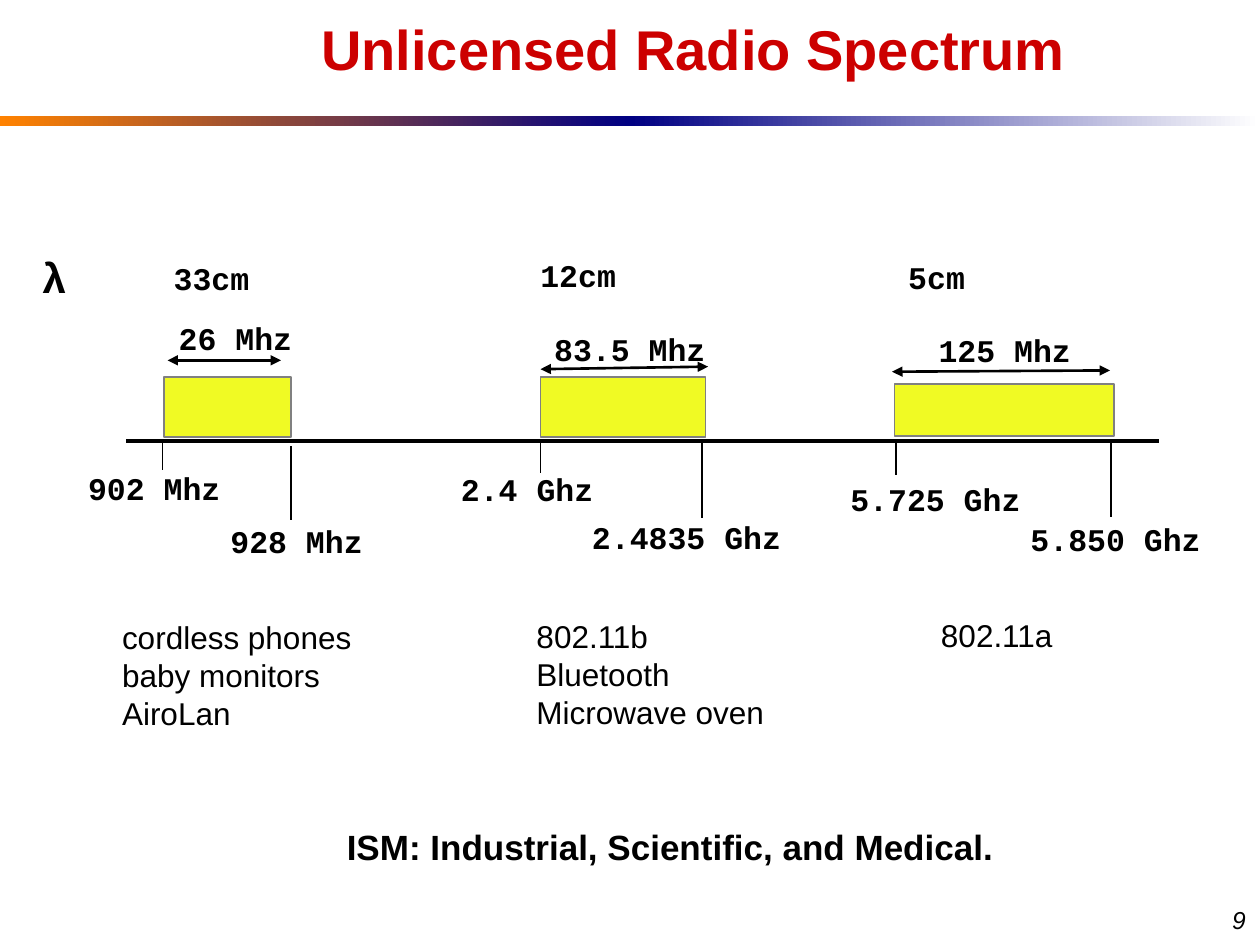
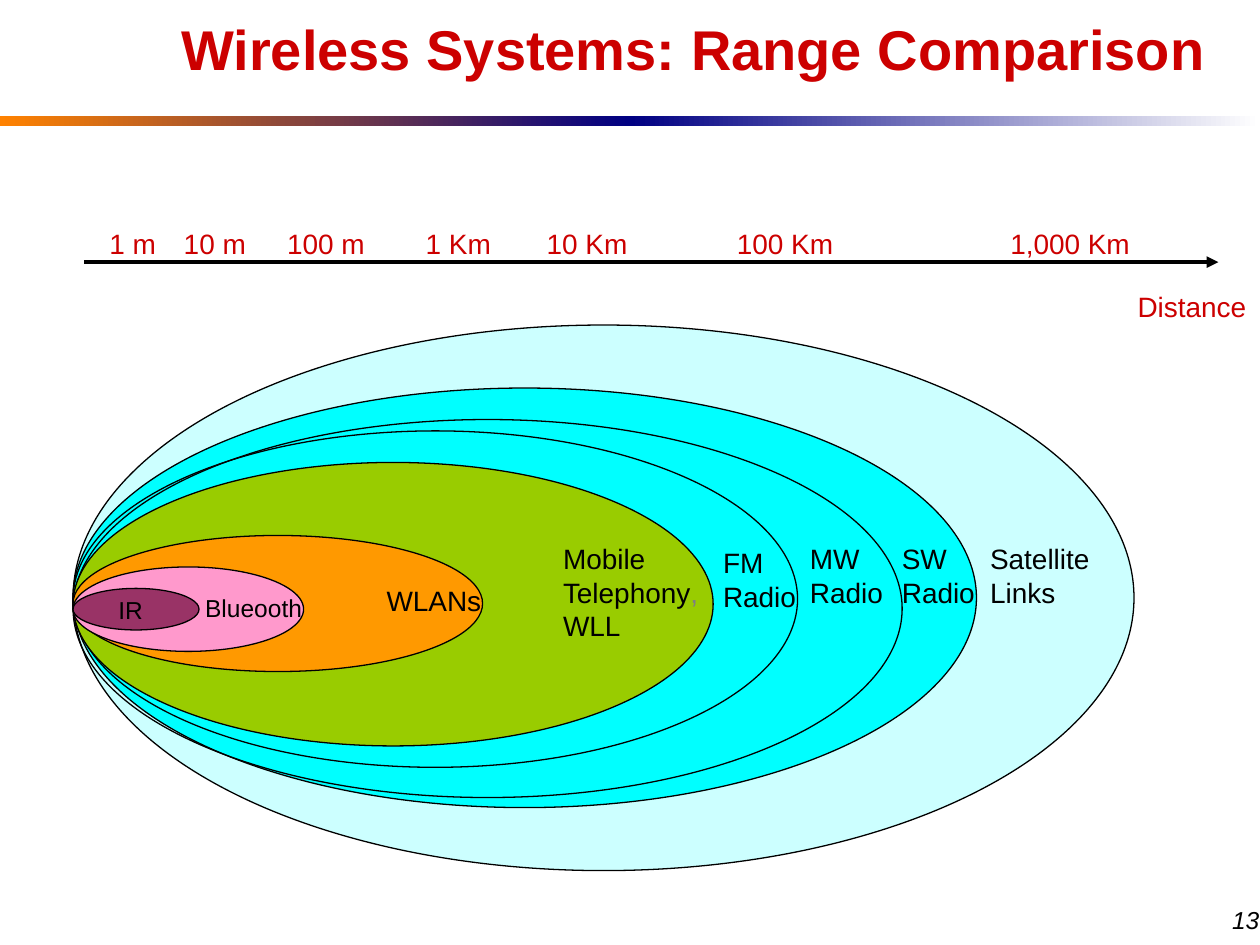
from dataclasses import dataclass

from lxml import etree
from pptx import Presentation
from pptx.dml.color import RGBColor
from pptx.enum.shapes import MSO_CONNECTOR, MSO_SHAPE
from pptx.enum.text import MSO_ANCHOR, MSO_AUTO_SIZE, PP_ALIGN
from pptx.oxml.ns import qn
from pptx.presentation import Presentation as Deck
from pptx.shapes.autoshape import Shape
from pptx.slide import Slide
from pptx.util import Inches, Pt

STRAIGHT = MSO_CONNECTOR.STRAIGHT
RECTANGLE = MSO_SHAPE.RECTANGLE
OVAL = MSO_SHAPE.OVAL
MIDDLE = MSO_ANCHOR.MIDDLE
FIT_SHAPE = MSO_AUTO_SIZE.SHAPE_TO_FIT_TEXT
CENTER = PP_ALIGN.CENTER

BLACK = "000000"
WHITE = "FFFFFF"
GRAY = "808080"
RED = "CC0000"
ORANGE = "FF8200"
NAVY = "000082"
YELLOW = "F0FA24"
SANS = "Arial"
MONO = "Courier New"

INSET = 0.1
WIDTH_SLACK = 0.06
MONO_CHARACTER = 0.15
AXIS_Y = 3.5
ZONE_LEFT = 0.58
DISTANCE_TOP = 1.75

Point = tuple[float, float]


@dataclass(frozen=True)
class TextStyle:
    size: int
    color: str = BLACK
    font: str = SANS
    bold: bool = False
    italic: bool = False


TITLE = TextStyle(32, RED, bold=True)
PAGE_NUMBER = TextStyle(14, italic=True)
FREQUENCY = TextStyle(18, font=MONO, bold=True)
USES = TextStyle(18)
LAMBDA = TextStyle(24, bold=True)
FOOTNOTE = TextStyle(20, bold=True)
ZONE = TextStyle(16)
SMALL_ZONE = TextStyle(14)
DISTANCE = TextStyle(16, RED)


@dataclass(frozen=True)
class Label:
    text: str
    left: float
    top: float
    width: float


@dataclass(frozen=True)
class MonoLabel:
    text: str
    left: float
    top: float

    @property
    def width(self) -> float:
        return 2 * INSET + MONO_CHARACTER * len(self.text)


@dataclass(frozen=True)
class Band:
    left: float
    top: float
    width: float
    height: float
    arrow: tuple[Point, Point]
    ticks: tuple[tuple[float, float, float], ...]
    labels: tuple[MonoLabel, ...]
    uses: Label


@dataclass(frozen=True)
class Zone:
    top: float
    width: float
    height: float
    fill: str | None
    label: Label
    style: TextStyle = ZONE


BANDS = (
    Band(1.3, 2.99, 1.01, 0.48, ((1.33, 2.86), (2.23, 2.86)),
         ((1.29, 3.49, 3.73), (2.31, 3.54, 4.13)),
         (MonoLabel("33cm", 1.28, 2.01), MonoLabel("26 Mhz", 1.32, 2.48),
          MonoLabel("902 Mhz", 0.6, 3.67), MonoLabel("928 Mhz", 1.73, 4.09)),
         Label("cordless phones\nbaby monitors\nAiroLan", 0.87, 4.86, 2.02)),
    Band(4.29, 2.99, 1.31, 0.48, ((4.29, 2.93), (5.62, 2.91)),
         ((4.29, 3.5, 3.75), (5.57, 3.52, 4.11)),
         (MonoLabel("12cm", 4.19, 1.98), MonoLabel("83.5 Mhz", 4.3, 2.57),
          MonoLabel("2.4 Ghz", 3.56, 3.68), MonoLabel("2.4835 Ghz", 4.6, 4.06)),
         Label("802.11b\nBluetooth\nMicrowave oven", 4.16, 4.85, 2)),
    Band(7.1, 3.05, 1.74, 0.41, ((7.08, 2.95), (8.81, 2.94)),
         ((7.11, 3.52, 3.77), (8.82, 3.51, 4.1)),
         (MonoLabel("5cm", 7.11, 2), MonoLabel("125 Mhz", 7.35, 2.58),
          MonoLabel("5.725 Ghz", 6.65, 3.76), MonoLabel("5.850 Ghz", 8.08, 4.08)),
         Label("802.11a", 7.37, 4.84, 1.1)),
)

MOBILE = Label("Mobile\nTelephony\nWLL", 4.37, 4.25, 1.29)
ZONES = (
    Zone(2.58, 8.42, 4.33, "CCFFFF", Label("Satellite\nLinks", 7.76, 4.25, 0.99)),
    Zone(3.08, 7.17, 3.33, "00FFFF", Label("SW\nRadio", 7.06, 4.25, 0.78)),
    Zone(3.33, 6.58, 3, None, Label("MW\nRadio", 6.33, 4.25, 0.78)),
    Zone(3.42, 5.75, 2.67, None, Label("FM\nRadio", 5.64, 4.28, 0.78)),
    Zone(3.67, 5.08, 2.25, "99CC00", MOBILE),
    Zone(4.25, 3.25, 1.08, "FF9900", Label("WLANs", 2.97, 4.58, 0.95)),
    Zone(4.5, 1.83, 0.67, "FF99CC", Label("Blueooth", 1.53, 4.66, 0.97), SMALL_ZONE),
    Zone(4.67, 1, 0.33, "993366", Label("IR", 0.84, 4.67, 0.39), SMALL_ZONE),
)

DISTANCES = (
    Label("1 m", 0.77, DISTANCE_TOP, 0.57),
    Label("10 m", 1.36, DISTANCE_TOP, 0.69),
    Label("100 m", 2.18, DISTANCE_TOP, 0.81),
    Label("1 Km", 3.28, DISTANCE_TOP, 0.71),
    Label("10 Km", 4.24, DISTANCE_TOP, 0.84),
    Label("100 Km", 5.75, DISTANCE_TOP, 0.96),
    Label("1,000 Km", 7.92, DISTANCE_TOP, 1.15),
    Label("Distance", 8.93, 2.25, 1.06),
)


def rgb(color: str) -> RGBColor:
    return RGBColor.from_string(color)


def style_text(shape: Shape, style: TextStyle) -> None:
    for paragraph in shape.text_frame.paragraphs:
        for run in paragraph.runs:
            run.font.name = style.font
            run.font.size = Pt(style.size)
            run.font.bold = style.bold
            run.font.italic = style.italic
            run.font.color.rgb = rgb(style.color)


def add_label(slide: Slide, label: Label | MonoLabel, style: TextStyle) -> Shape:
    line_count = label.text.count("\n") + 1
    height = INSET + line_count * style.size / 60
    shape = slide.shapes.add_textbox(
        Inches(label.left), Inches(label.top),
        Inches(label.width + WIDTH_SLACK), Inches(height))
    shape.text_frame.text = label.text
    shape.text_frame.word_wrap = False
    shape.text_frame.auto_size = FIT_SHAPE
    style_text(shape, style)
    return shape


def add_outlined(slide: Slide, kind: MSO_SHAPE, left: float, top: float, width: float,
                 height: float, fill: str | None, line: str, weight: float) -> None:
    shape = slide.shapes.add_shape(
        kind, Inches(left), Inches(top), Inches(width), Inches(height))
    shape.shadow.inherit = False
    if fill:
        shape.fill.solid()
        shape.fill.fore_color.rgb = rgb(fill)
    else:
        shape.fill.background()
    shape.line.color.rgb = rgb(line)
    shape.line.width = Pt(weight)


def add_line(slide: Slide, start: Point, end: Point, weight: float,
             arrowheads: tuple[str, ...] = ()) -> None:
    connector = slide.shapes.add_connector(
        STRAIGHT, Inches(start[0]), Inches(start[1]), Inches(end[0]), Inches(end[1]))
    connector.line.color.rgb = rgb(BLACK)
    connector.line.width = Pt(weight)
    properties = connector._element.spPr
    outline = properties.find(qn("a:ln"))
    for arrowhead in arrowheads:
        etree.SubElement(outline, qn(arrowhead), type="triangle")
    etree.SubElement(properties, qn("a:effectLst"))


def add_gradient_bar(slide: Slide, left: float, colors: tuple[str, str]) -> None:
    bar = slide.shapes.add_shape(
        RECTANGLE, Inches(left), Inches(0.92), Inches(5), Inches(0.08))
    bar.shadow.inherit = False
    bar.line.fill.background()
    bar.fill.gradient()
    bar.fill.gradient_angle = 0
    for stop, color, position in zip(bar.fill.gradient_stops, colors, (0, 1)):
        stop.color.rgb = rgb(color)
        stop.position = position


def add_framed_slide(presentation: Deck, title: str, number: str) -> Slide:
    slide = presentation.slides.add_slide(presentation.slide_layouts[6])
    add_gradient_bar(slide, 0, (ORANGE, NAVY))
    add_gradient_bar(slide, 5, (NAVY, WHITE))
    page_number = add_label(slide, Label(number, 9.68, 7.13, 0.57), PAGE_NUMBER)
    page_number.text_frame.word_wrap = True
    heading = slide.shapes.add_textbox(Inches(1.17), 0, Inches(8.67), Inches(0.83))
    heading.text_frame.text = title
    heading.text_frame.word_wrap = True
    heading.text_frame.vertical_anchor = MIDDLE
    heading.text_frame.paragraphs[0].alignment = CENTER
    heading.text_frame.paragraphs[0].line_spacing = 0.93
    style_text(heading, TITLE)
    return slide


def build_spectrum_slide(presentation: Deck) -> None:
    slide = add_framed_slide(presentation, "Unlicensed Radio Spectrum", "9")
    add_line(slide, (1, AXIS_Y), (9.2, AXIS_Y), 2.25)
    add_label(slide, Label("λ", 0.24, 1.95, 0.38), LAMBDA)
    for band in BANDS:
        add_outlined(slide, RECTANGLE, band.left, band.top, band.width, band.height,
                     YELLOW, GRAY, 1)
        add_line(slide, *band.arrow, 1.5, ("a:headEnd", "a:tailEnd"))
        for x, top, bottom in band.ticks:
            add_line(slide, (x, top), (x, bottom), 1)
        for label in band.labels:
            add_label(slide, label, FREQUENCY)
        add_label(slide, band.uses, USES)
    footnote = add_label(
        slide, Label("ISM: Industrial, Scientific, and Medical.", 2.54, 6.5, 5.5), FOOTNOTE)
    footnote.text_frame.paragraphs[0].alignment = CENTER


def build_range_slide(presentation: Deck) -> None:
    slide = add_framed_slide(presentation, "Wireless Systems: Range Comparison", "13")
    for zone in ZONES:
        add_outlined(slide, OVAL, ZONE_LEFT, zone.top, zone.width, zone.height,
                     zone.fill, BLACK, 0.75)
        shape = add_label(slide, zone.label, zone.style)
        if zone.label is MOBILE:
            comma = shape.text_frame.paragraphs[1].add_run()
            comma.text = ","
            style_text(shape, zone.style)
            comma.font.color.rgb = rgb(GRAY)
    add_line(slide, (0.67, 2.08), (9.67, 2.08), 2.25, ("a:tailEnd",))
    for distance in DISTANCES:
        add_label(slide, distance, DISTANCE)


def main() -> None:
    presentation = Presentation()
    presentation.slide_width = Inches(10)
    presentation.slide_height = Inches(7.5)
    build_spectrum_slide(presentation)
    build_range_slide(presentation)
    presentation.save("out.pptx")


if __name__ == "__main__":
    main()
